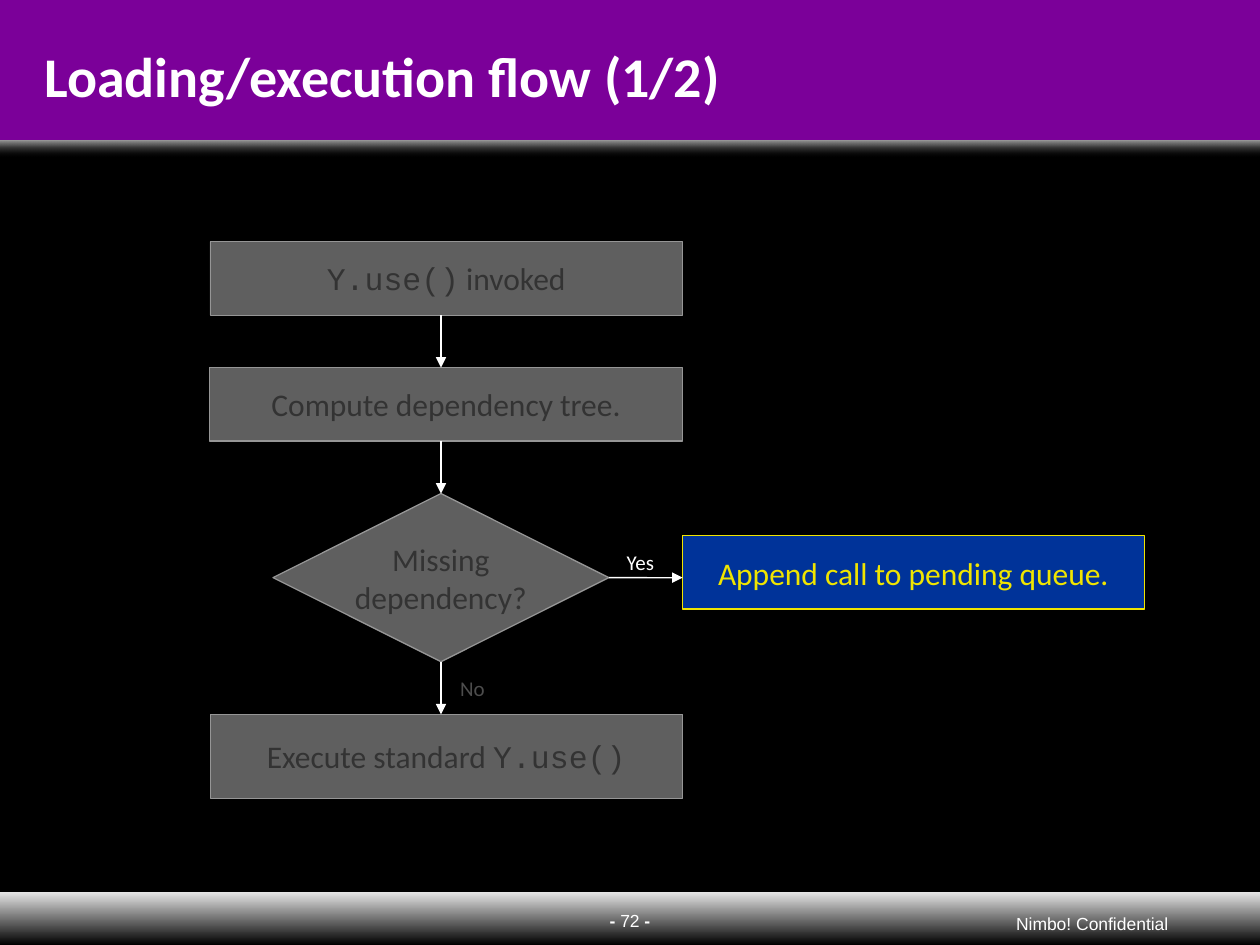
from dataclasses import dataclass

from lxml.etree import SubElement
from pptx import Presentation
from pptx.dml.color import RGBColor
from pptx.enum.shapes import MSO_CONNECTOR, MSO_SHAPE
from pptx.enum.text import MSO_ANCHOR, MSO_AUTO_SIZE, PP_ALIGN
from pptx.oxml.ns import qn
from pptx.util import Cm, Pt


@dataclass(frozen=True)
class Theme:
    back: str = "000000"
    white: str = "FFFFFF"
    brand: str = "7B0099"
    silver: str = "E6E6E6"
    dim: str = "5F5F5F"
    edge: str = "969696"
    dark: str = "333333"
    faint: str = "4D4D4D"
    blue: str = "003399"
    gold: str = "F0E500"
    sans: str = "Calibri"
    code: str = "Courier New"
    foot: str = "Arial"
    head: int = 32
    body: int = 18
    label: int = 12
    small: int = 10
    thin: float = 0.25
    line: float = 0.75


T = Theme()
WIDE = 25.4
AXIS = 8.89  # centre line of the flow
LEFT, SPAN, TALL = 4.23, 9.53, 1.48  # grey step boxes
TOP, STEP = 4.87, 2.54
GAP = 1.06  # height of the arrows between steps


def rgb(code):
    return RGBColor.from_string(code)


def write(shape, parts, size, color, align=PP_ALIGN.CENTER,
          anchor=MSO_ANCHOR.MIDDLE, wrap=False):
    """Fill a shape with one paragraph of (text, font, bold) parts."""
    frame = shape.text_frame
    frame.auto_size = MSO_AUTO_SIZE.NONE
    frame.word_wrap = wrap
    frame.vertical_anchor = anchor
    para = frame.paragraphs[0]
    para.alignment = align
    para.text = parts[0][0]
    for text, _, _ in parts[1:]:
        para.add_run().text = text
    # A line break splits a part in two runs, which share its font
    last = len(parts) - 1
    for i, run in enumerate(para.runs):
        _, face, bold = parts[min(i, last)]
        run.font.name, run.font.bold = face, bold
        run.font.size = Pt(size)
        run.font.color.rgb = rgb(color)


def panel(slide, kind, left, top, width, height, fill):
    shape = slide.shapes.add_shape(kind, Cm(left), Cm(top), Cm(width), Cm(height))
    shape.shadow.inherit = False
    shape.line.fill.background()
    if fill:
        shape.fill.solid()
        shape.fill.fore_color.rgb = rgb(fill)
    return shape


def fade(slide, top, height, start, clear=False):
    """Full-width band that fades downwards to the background."""
    band = panel(slide, MSO_SHAPE.RECTANGLE, 0, top, WIDE, height, None)
    band.fill.gradient()
    band.fill.gradient_angle = 270
    for stop, color, place in zip(band.fill.gradient_stops, (start, T.back), (0, 1)):
        stop.color.rgb = rgb(color)
        stop.position = place
    if clear:
        tint = list(band.fill._xPr.iter(qn("a:srgbClr")))[-1]
        SubElement(tint, qn("a:alpha")).set("val", "0")


def node(slide, kind, left, top, width, height, parts, weight=T.line,
         fill=T.dim, edge=T.edge, color=T.dark):
    shape = panel(slide, kind, left, top, width, height, fill)
    shape.line.color.rgb = rgb(edge)
    shape.line.width = Pt(weight)
    write(shape, parts, T.body, color)
    return shape


def arrow(slide, x1, y1, x2, y2):
    line = slide.shapes.add_connector(
        MSO_CONNECTOR.STRAIGHT, Cm(x1), Cm(y1), Cm(x2), Cm(y2))
    line.line.color.rgb = rgb(T.white)
    line.line.width = Pt(T.line)
    SubElement(line.line._get_or_add_ln(), qn("a:tailEnd")).set("type", "triangle")
    SubElement(line._element.spPr, qn("a:effectLst"))
    return line


def note(slide, left, top, width, height, parts, size, color, **style):
    box = slide.shapes.add_textbox(Cm(left), Cm(top), Cm(width), Cm(height))
    write(box, parts, size, color, **style)
    return box


def frame(slide):
    """Header, footer and title."""
    fade(slide, 2.74, 0.43, T.white, clear=True)
    panel(slide, MSO_SHAPE.RECTANGLE, 0, 0, WIDE, 2.82, T.brand)
    fade(slide, 17.98, 1.07, T.silver)
    page = [("- ", T.foot, True), ("72 ", T.foot, False), ("-", T.foot, True)]
    note(slide, 12.04, 18.26, 2.34, 0.64, page, T.small, T.white,
         align=PP_ALIGN.LEFT, anchor=MSO_ANCHOR.BOTTOM, wrap=True)
    owner = note(slide, 18.47, 18.4, 5.08, 0.43,
                 [("Nimbo! Confidential", T.foot, False)], T.small, T.white,
                 align=PP_ALIGN.RIGHT, wrap=True)
    text = owner.text_frame
    text.margin_left = text.margin_right = text.margin_top = text.margin_bottom = 0

    title = slide.shapes.title
    title.left, title.top, title.width, title.height = Cm(0.64), Cm(0.23), Cm(24.33), Cm(2.08)
    title.fill.solid()
    title.fill.fore_color.rgb = rgb(T.brand)
    write(title, [("Loading/execution flow (1/2)", T.sans, True)], T.head, T.white,
          align=PP_ALIGN.LEFT, anchor=MSO_ANCHOR.BOTTOM, wrap=True)


def flow(slide):
    """Flowchart steps, arrows and branch labels."""
    box = MSO_SHAPE.FLOWCHART_PROCESS
    node(slide, MSO_SHAPE.RECTANGLE, LEFT, TOP, SPAN, TALL,
         [("Y.use()", T.code, False), (" invoked", T.sans, False)], T.thin)
    node(slide, box, LEFT, TOP + STEP, SPAN, TALL,
         [("Compute dependency tree.", T.sans, False)])

    # Decision
    wide, high = 6.77, 3.39
    peak = TOP + 2 * STEP
    foot = peak + high
    side, mid = AXIS + wide / 2, peak + high / 2
    test = node(slide, MSO_SHAPE.FLOWCHART_DECISION, AXIS - wide / 2, peak, wide, high,
                [("Missing\vdependency?", T.sans, False)])

    # Outcomes
    edge = LEFT + SPAN
    node(slide, box, edge, 10.8, 9.31, TALL,
         [("Append call to pending queue.", T.sans, False)],
         fill=T.blue, edge=T.gold, color=T.gold)
    node(slide, box, LEFT, foot + GAP, SPAN, 1.69,
         [("Execute standard ", T.sans, False), ("Y.use()", T.code, False)], T.thin)

    # Arrows
    arrow(slide, AXIS, TOP + TALL, AXIS, TOP + STEP)
    arrow(slide, AXIS, TOP + STEP + TALL, AXIS, peak).end_connect(test, 0)
    arrow(slide, AXIS, foot, AXIS, foot + GAP).begin_connect(test, 2)
    arrow(slide, side, mid, edge, mid).begin_connect(test, 3)

    # Branch labels
    for text, left, top, color in (("Yes", side, 11.01, T.white),
                                   ("No", AXIS, 13.55, T.faint)):
        note(slide, left, top, 1.27, 0.64, [(text, T.sans, False)], T.label, color)


def main():
    deck = Presentation()
    deck.slide_width, deck.slide_height = Cm(WIDE), Cm(19.05)
    slide = deck.slides.add_slide(deck.slide_layouts[5])
    slide.background.fill.solid()
    slide.background.fill.fore_color.rgb = rgb(T.back)
    frame(slide)
    flow(slide)
    # Title lies above the header band
    tree = slide.shapes._spTree
    tree.insert(tree.index(slide.shapes[6]._element), slide.shapes.title._element)
    deck.save("out.pptx")


if __name__ == "__main__":
    main()
